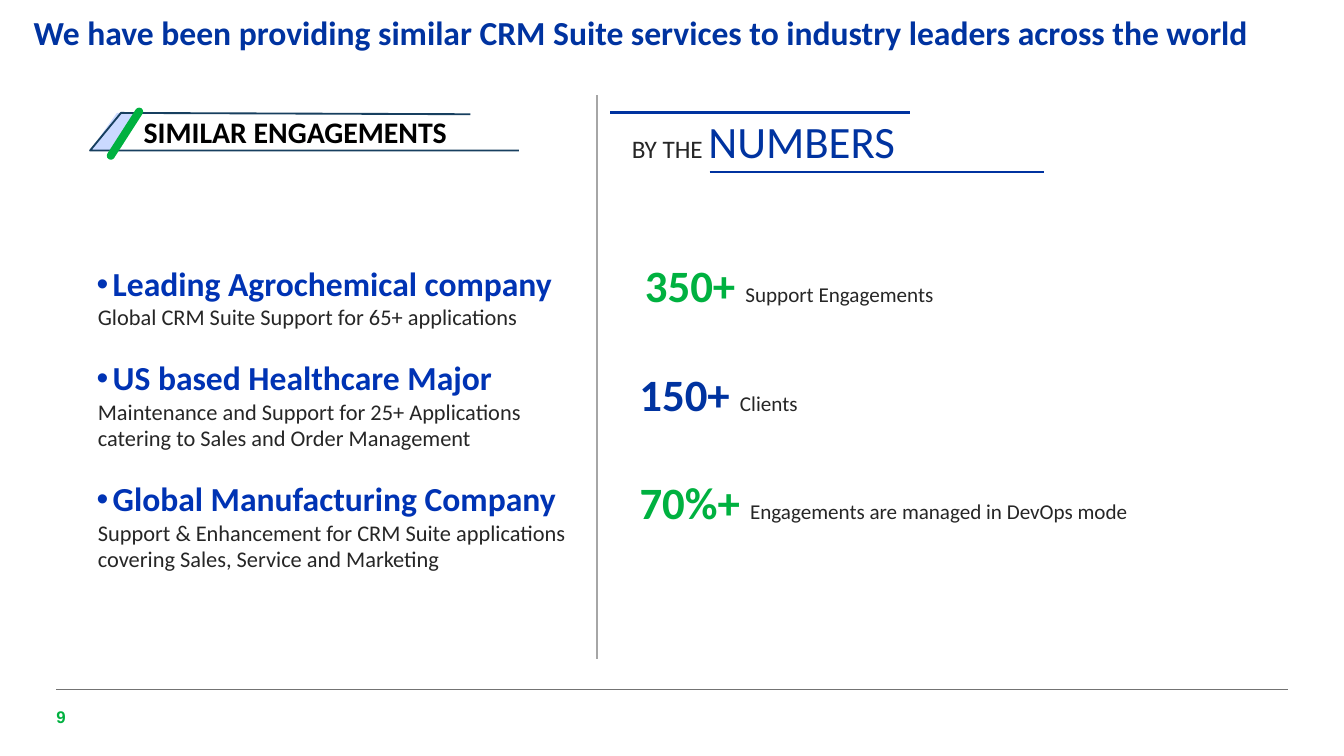
import dataclasses
import typing

import lxml.etree
import pptx
import pptx.dml.color
import pptx.enum.shapes
import pptx.enum.text
import pptx.oxml.ns
import pptx.util

Inches = pptx.util.Inches
Anchor = pptx.enum.text.MSO_ANCHOR
Align = pptx.enum.text.PP_ALIGN
Point = typing.Tuple[float, float]


@dataclasses.dataclass(frozen=True)
class Theme:
    font: str = "Calibri"
    number_font: str = "Arial"
    blue: str = "0033A0"
    bright_blue: str = "0033B4"
    pale_blue: str = "CAD9FF"
    navy: str = "173F5F"
    green: str = "00B140"
    ink: str = "262626"
    black: str = "000000"
    rule: str = "737373"
    divider: str = "A6A6A6"
    title_size: float = 18
    heading_size: float = 16
    body_size: float = 12
    lead_size: float = 13.5
    figure_size: float = 24
    label_size: float = 11.25
    page_size: float = 9


THEME = Theme()


@dataclasses.dataclass(frozen=True)
class Run:
    text: str
    size: float
    color: str
    bold: bool = False
    font: str = THEME.font


@dataclasses.dataclass(frozen=True)
class Rule:
    start: Point
    end: Point
    color: str
    width: float


@dataclasses.dataclass(frozen=True)
class Engagement:
    client: str
    work: str


@dataclasses.dataclass(frozen=True)
class Figure:
    value: str
    label: str
    left: float
    top: float
    width: float
    color: str


RULES = [
    Rule((0.42, 5.13), (9.58, 5.13), THEME.rule, 0.5),
    Rule((4.44, 0.71), (4.44, 4.9), THEME.divider, 1),
    Rule((4.54, 0.84), (6.77, 0.84), THEME.blue, 1.5),
    Rule((5.28, 1.28), (7.77, 1.28), THEME.blue, 1.5),
]
ENGAGEMENTS = [
    Engagement("Leading Agrochemical company",
               "Global CRM Suite Support for 65+ applications"),
    Engagement("US based Healthcare Major",
               "Maintenance and Support for 25+ Applications catering to Sales and Order Management"),
    Engagement("Global Manufacturing Company",
               "Support & Enhancement for CRM Suite applications covering Sales, Service and Marketing"),
]
FIGURES = [
    Figure("350+ ", "Support Engagements", 4.7, 1.87, 4.08, THEME.green),
    Figure("150+ ", "Clients", 4.66, 2.68, 3.07, THEME.blue),
    Figure("70%+ ", "Engagements are managed in DevOps mode", 4.66, 3.48, 4.28, THEME.green),
]


def rgb(color: str):
    return pptx.dml.color.RGBColor.from_string(color)


def apply_format(target, values: typing.Dict[str, typing.Any]) -> None:
    for name, value in values.items():
        setattr(target, name, value)


def add_runs(paragraph, runs: typing.Sequence[Run]) -> None:
    for item in runs:
        run = paragraph.add_run()
        run.text = item.text
        apply_format(run.font, {"name": item.font, "size": pptx.util.Pt(item.size), "bold": item.bold})
        run.font.color.rgb = rgb(item.color)


def indent(paragraph, left: float, first: float = 0, bullet: str = "") -> None:
    properties = paragraph._p.get_or_add_pPr()
    properties.set("marL", str(Inches(left)))
    properties.set("indent", str(Inches(first)))
    if bullet:
        for tag, name, value in (("a:buFont", "typeface", THEME.number_font), ("a:buChar", "char", bullet)):
            lxml.etree.SubElement(properties, pptx.oxml.ns.qn(tag)).set(name, value)


def add_text(slide, left: float, top: float, width: float, height: float,
             runs: typing.Sequence[Run] = (), inset: bool = True, **frame_format):
    box = slide.shapes.add_textbox(Inches(left), Inches(top), Inches(width), Inches(height))
    values = {"word_wrap": True, **frame_format}
    if not inset:
        values.update({f"margin_{side}": 0 for side in ("left", "top", "right", "bottom")})
    apply_format(box.text_frame, values)
    add_runs(box.text_frame.paragraphs[0], runs)
    return box.text_frame


def add_rule(slide, rule: Rule) -> None:
    connector = slide.shapes.add_connector(
        pptx.enum.shapes.MSO_CONNECTOR.STRAIGHT, *map(Inches, rule.start + rule.end))
    connector.line.color.rgb = rgb(rule.color)
    connector.line.width = pptx.util.Pt(rule.width)
    lxml.etree.SubElement(connector._element.spPr, pptx.oxml.ns.qn("a:effectLst"))


def paint(shape, fill: str = "", line: str = "") -> None:
    shape.shadow.inherit = False
    if fill:
        shape.fill.solid()
        shape.fill.fore_color.rgb = rgb(fill)
    else:
        shape.fill.background()
    if line:
        shape.line.color.rgb = rgb(line)
        shape.line.width = pptx.util.Pt(1)
    else:
        shape.line.fill.background()


def add_outline(slide, points: typing.Sequence[Point], close: bool, fill: str = "", line: str = ""):
    corners = [(Inches(x), Inches(y)) for x, y in points]
    builder = slide.shapes.build_freeform(*corners[0])
    builder.add_line_segments(corners[1:], close=close)
    shape = builder.convert_to_shape()
    paint(shape, fill, line)
    return shape


def add_heading_banner(slide) -> None:
    add_outline(slide, [(0.87, 0.84), (1.02, 0.84), (0.84, 1.12), (0.67, 1.12)], True, fill=THEME.pale_blue)
    banner = add_outline(slide, [(3.86, 1.12), (0.67, 1.12), (0.9, 0.84), (3.5, 0.85)], False, line=THEME.navy)
    apply_format(banner.text_frame, {"word_wrap": True, "vertical_anchor": Anchor.MIDDLE})
    paragraph = banner.text_frame.paragraphs[0]
    paragraph.alignment = Align.LEFT
    indent(paragraph, 0.3)
    add_runs(paragraph, [Run("SIMILAR ENGAGEMENTS", THEME.heading_size, THEME.black, True)])
    slash = slide.shapes.add_shape(pptx.enum.shapes.MSO_SHAPE.ROUNDED_RECTANGLE,
                                   Inches(0.9), Inches(0.77), Inches(0.06), Inches(0.45))
    slash.adjustments[0] = 0.5
    slash.rotation = 32.7
    paint(slash, fill=THEME.green)


def add_engagements(slide) -> None:
    frame = add_text(slide, 0.62, 1.91, 3.75, 2.42)
    for index, engagement in enumerate(ENGAGEMENTS):
        client = frame.add_paragraph() if index else frame.paragraphs[0]
        if index:
            client.space_before = pptx.util.Pt(14.4)
        indent(client, 0.12, -0.12, "•")
        add_runs(client, [Run(engagement.client, THEME.title_size, THEME.bright_blue, True)])
        work = frame.add_paragraph()
        indent(work, 0.01)
        add_runs(work, [Run(engagement.work, THEME.body_size, THEME.ink)])


def main() -> None:
    presentation = pptx.Presentation()
    # Widescreen, 16 to 9
    width = Inches(10)
    apply_format(presentation, {"slide_width": width, "slide_height": width * 9 // 16})
    slide = presentation.slides.add_slide(presentation.slide_layouts[6])

    # Title and page number
    title = add_text(slide, 0.25, 0.07, 9.42, 0.38, [
        Run("We have been providing similar CRM Suite services to industry leaders across the world",
            THEME.title_size, THEME.blue, True)], inset=False, vertical_anchor=Anchor.MIDDLE)
    title.paragraphs[0].line_spacing = 0.9
    add_text(slide, 0.42, 5.25, 0.25, 0.17,
             [Run("9", THEME.page_size, THEME.green, True, THEME.number_font)],
             inset=False, vertical_anchor=Anchor.MIDDLE)

    # Footer rule, column divider and heading rules
    for rule in RULES:
        add_rule(slide, rule)

    # Left column
    add_heading_banner(slide)
    add_engagements(slide)

    # Right column
    heading = add_text(slide, 4.59, 0.8, 2.18, 0.5, [
        Run("BY THE ", THEME.lead_size, THEME.ink),
        Run("NUMBERS", THEME.figure_size, THEME.blue)], word_wrap=False)
    heading.paragraphs[0].alignment = Align.CENTER
    for figure in FIGURES:
        add_text(slide, figure.left, figure.top, figure.width, 0.5, [
            Run(figure.value, THEME.figure_size, figure.color, True),
            Run(figure.label, THEME.label_size, THEME.ink)])

    presentation.save("out.pptx")


if __name__ == "__main__":
    main()
